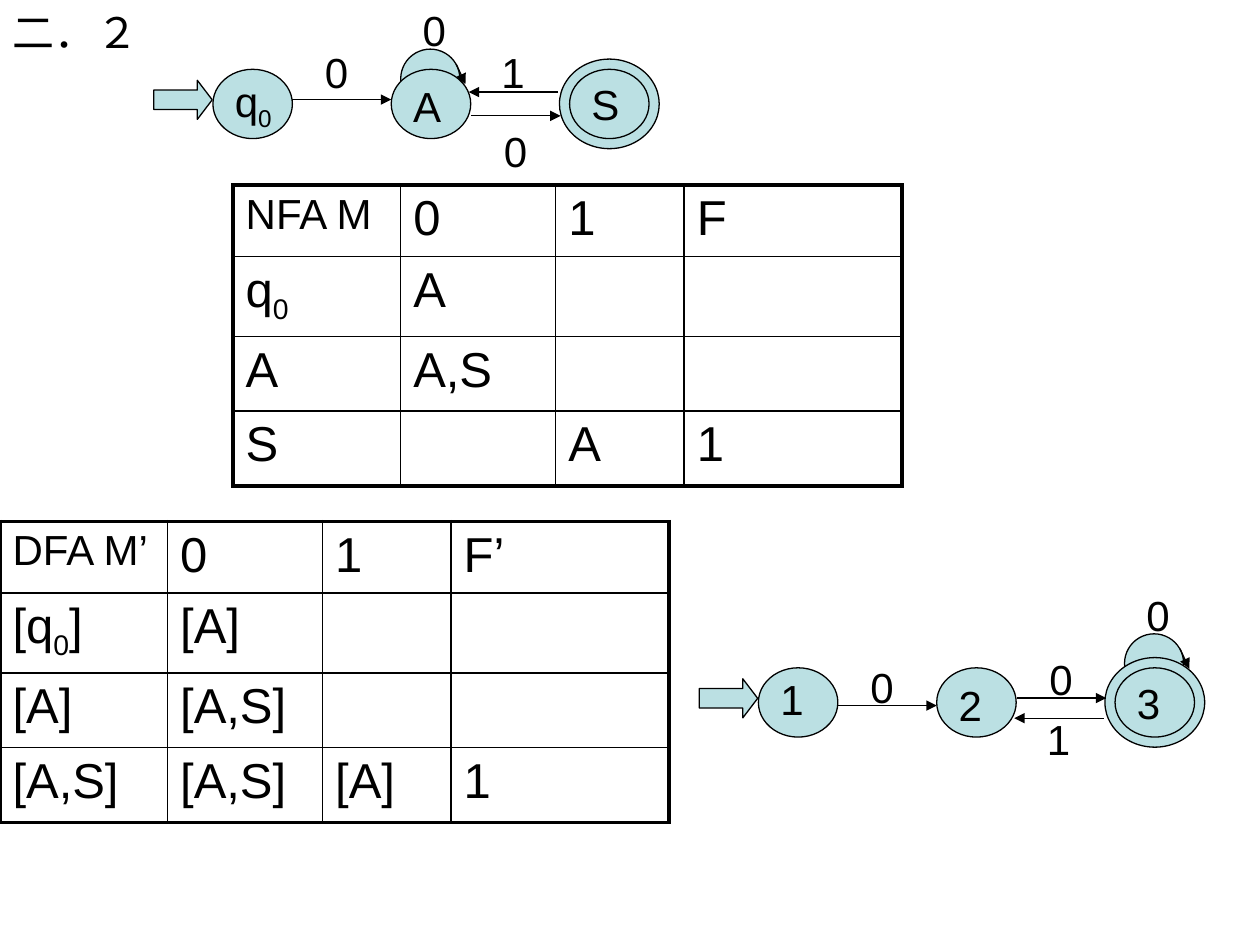
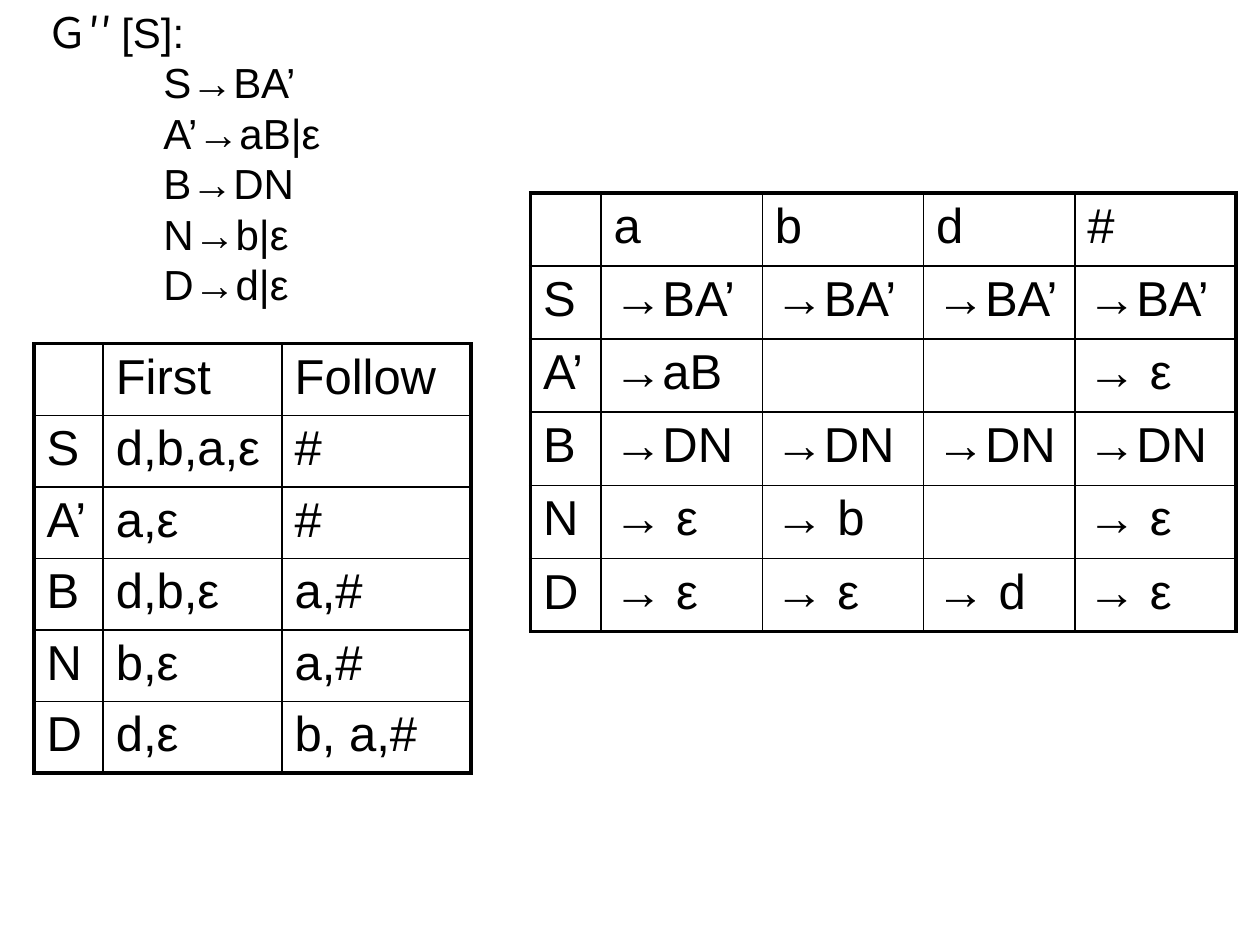
from lxml import etree
from pptx import Presentation
from pptx.dml.color import RGBColor
from pptx.enum.shapes import MSO_CONNECTOR, MSO_SHAPE
from pptx.enum.text import MSO_ANCHOR, MSO_AUTO_SIZE, PP_ALIGN
from pptx.oxml.ns import qn
from pptx.util import Pt

LINE = MSO_CONNECTOR.STRAIGHT
OVAL, ARROW = MSO_SHAPE.OVAL, MSO_SHAPE.RIGHT_ARROW
LEFT, TOP, NO_FIT = PP_ALIGN.LEFT, MSO_ANCHOR.TOP, MSO_AUTO_SIZE.NONE

COLORS = {"ink": "000000", "state": "BBE0E3"}
FONT = "Arial"
TEXT_SIZE, CELL_SIZE = 24, 28
OUTER_BORDER, INNER_BORDER = 2.25, 1

STATE_W, STATE_H, STATE_PITCH = 45.4, 39.6, 101.9
RING = 5.8
LOOP_SIZE = 33.8
LABEL_W, LABEL_H = 28.1, 36
STATE_LABEL_DROPS = (0, 3, 2)
EDGE_SPANS = {"first": (45.4, 101.9), "forward": (147.6, 198.7), "back": (197.3, 146.2)}

AUTOMATON_TITLE = "二．２"
NFA_GRAPH = {
    "origin": (121.7, 39.6),
    "states": ("q_0", "A", "S"),
    "loop": (1, -11.5, "0"),
    "edges": (("first", 17.3, "0", -16.6), ("forward", 26.6, "0", 28.8), ("back", 13, "1", -16.6)),
}
DFA_GRAPH = {
    "origin": (433.4, 381.6),
    "states": ("1", "2", "3"),
    "loop": (2, -19.4, "0"),
    "edges": (("first", 21.6, "0", -7.2), ("forward", 17.3, "0", -11.5), ("back", 28.8, "1", 22.3)),
}

TRANSITION_COLUMNS = (95.8, 88.6, 73.4, 124.6)
TRANSITION_ROWS = (40.6, 45.7, 42.5, 42.8)
NFA_TABLE = [
    ("NFA M", "0", "1", "F"),
    ("q_0", "A", "", ""),
    ("A", "A,S", "", ""),
    ("S", "", "A", "1"),
]
DFA_TABLE = [
    ("DFA M’", "0", "1", "F’"),
    ("[q_0]", "[A]", "", ""),
    ("[A]", "[A,S]", "", ""),
    ("[A,S]", "[A,S]", "[A]", "1"),
]

GRAMMAR_TITLE = "Ｇ′′ [S]:"
GRAMMAR_RULES = ("S→BA’", "A’→aB|ε", "B→DN", "N→b|ε", "D→d|ε")
FIRST_FOLLOW = [
    ("", "First", "Follow"),
    ("S", "d,b,a,ε", "#"),
    ("A’", "a,ε", "#"),
    ("B", "d,b,ε", "a,#"),
    ("N", "b,ε", "a,#"),
    ("D", "d,ε", "b, a,#"),
]
PARSING_TABLE = [
    ("", "a", "b", "d", "#"),
    ("S", "→BA’", "→BA’", "→BA’", "→BA’"),
    ("A’", "→aB", "", "", "→ ε"),
    ("B", "→DN", "→DN", "→DN", "→DN"),
    ("N", "→ ε", "→ b", "", "→ ε"),
    ("D", "→ ε", "→ ε", "→ d", "→ ε"),
]


def rgb(name):
    return RGBColor.from_string(COLORS[name])


def points(*lengths):
    return [Pt(length) for length in lengths]


def write(frame, text, size=TEXT_SIZE, color="ink", align=LEFT):
    frame.word_wrap = True
    for index, line in enumerate(text.split("\n")):
        paragraph = frame.paragraphs[0] if index == 0 else frame.add_paragraph()
        paragraph.alignment = align
        base, _, marked = line.partition("_")
        for part, baseline in ((base, 0), (marked[:1], -25000), (marked[1:], 0)):
            if part:
                run = paragraph.add_run()
                run.text = part
                run.font.size = Pt(size)
                run.font.name = FONT
                run.font.color.rgb = rgb(color)
                if baseline:
                    run._r.get_or_add_rPr().set("baseline", str(baseline))


def add_text(shapes, text, *box):
    write(shapes.add_textbox(*points(*box)).text_frame, text)


def add_titled_slide(deck, text, *box):
    slide = deck.slides.add_slide(deck.slide_layouts[5])
    title = slide.shapes.title
    title.left, title.top, title.width, title.height = points(*box)
    title.text_frame.vertical_anchor = TOP
    title.text_frame.auto_size = NO_FIT
    write(title.text_frame, text)
    return slide


def add_figure(shapes, kind, *box):
    figure = shapes.add_shape(kind, *points(*box))
    figure.shadow.inherit = False
    figure.fill.solid()
    figure.fill.fore_color.rgb = rgb("state")
    figure.line.color.rgb = rgb("ink")
    figure.line.width = Pt(0.75)
    return figure


def add_arrow(shapes, *ends):
    arrow = shapes.add_connector(LINE, *points(*ends))
    arrow.line.color.rgb = rgb("ink")
    arrow.line.width = Pt(0.75)
    properties = arrow._element.spPr
    etree.SubElement(properties.find(qn("a:ln")), qn("a:tailEnd"), type="triangle")
    etree.SubElement(properties, qn("a:effectLst"))


def add_automaton(slide, graph):
    shapes = slide.shapes.add_group_shape().shapes
    left, top = graph["origin"]
    loop_state, loop_rise, loop_label = graph["loop"]
    loop_x = left + loop_state * STATE_PITCH + 5.4
    loop_y = top + loop_rise
    add_figure(shapes, OVAL, loop_x, loop_y, LOOP_SIZE, LOOP_SIZE)

    last = len(graph["states"]) - 1
    for index, (state, drop) in enumerate(zip(graph["states"], STATE_LABEL_DROPS)):
        x = left + index * STATE_PITCH
        if index == last:
            add_figure(shapes, OVAL, x - RING, top - RING, STATE_W + 2 * RING, STATE_H + 2 * RING)
        add_figure(shapes, OVAL, x, top, STATE_W, STATE_H)
        add_text(shapes, state, x + 5.4, top + drop, STATE_W, LABEL_H)

    start = add_figure(shapes, ARROW, left - 33.8, top + 6.3, 33.4, 22.3)
    start.adjustments[0], start.adjustments[1] = 0.5, 0.38

    for span, drop, label, label_drop in graph["edges"]:
        begin, end = EDGE_SPANS[span]
        add_arrow(shapes, left + begin, top + drop, left + end, top + drop)
        add_text(shapes, label, left + min(begin, end) + 11.5, top + label_drop, LABEL_W, LABEL_H)

    add_arrow(shapes, loop_x + 31.7, loop_y + 8.5, loop_x + 37, loop_y + 20)
    add_text(shapes, loop_label, loop_x + 5.4, loop_y - 28.8, LABEL_W, LABEL_H)


def set_border(cell, side, width):
    border = etree.SubElement(cell._tc.get_or_add_tcPr(), qn("a:" + side), w=str(Pt(width)))
    fill = etree.SubElement(border, qn("a:solidFill"))
    etree.SubElement(fill, qn("a:srgbClr"), val=COLORS["ink"])


def add_grid(slide, rows, left, top, widths, heights, corner_size=CELL_SIZE):
    box = points(left, top, sum(widths), sum(heights))
    table = slide.shapes.add_table(len(rows), len(widths), *box).table
    table.first_row = table.horz_banding = False
    for column, width in zip(table.columns, widths):
        column.width = Pt(width)
    for row, height in zip(table.rows, heights):
        row.height = Pt(height)
    for r, row in enumerate(rows):
        for c, text in enumerate(row):
            cell = table.cell(r, c)
            edges = {
                "lnL": c == 0,
                "lnR": c == len(row) - 1,
                "lnT": r == 0,
                "lnB": r == len(rows) - 1,
            }
            for side, is_outer in edges.items():
                set_border(cell, side, OUTER_BORDER if is_outer else INNER_BORDER)
            cell.fill.background()
            write(cell.text_frame, text, size=corner_size if r == c == 0 else CELL_SIZE)


def main():
    deck = Presentation()
    deck.slide_width, deck.slide_height = points(720, 540)

    automata = add_titled_slide(deck, AUTOMATON_TITLE, 0, 0, 462, 36)
    add_automaton(automata, NFA_GRAPH)
    for rows, left, top in ((NFA_TABLE, 133.2, 105.8), (DFA_TABLE, 0, 298.1)):
        add_grid(automata, rows, left, top, TRANSITION_COLUMNS, TRANSITION_ROWS, corner_size=TEXT_SIZE)
    add_automaton(automata, DFA_GRAPH)

    grammar = add_titled_slide(deck, GRAMMAR_TITLE, 19.4, 0, 680, 36)
    add_text(grammar.shapes, "\n".join(GRAMMAR_RULES), 86.2, 29, 613, 152)
    add_grid(grammar, FIRST_FOLLOW, 19.4, 196.4, (39.6, 102.2, 108), [40.9] * 6)
    add_grid(grammar, PARSING_TABLE, 303.1, 110.2, (40.3, 92.2, 92.2, 86.4, 92.2), [41.8] * 6)

    deck.save("out.pptx")


if __name__ == "__main__":
    main()
